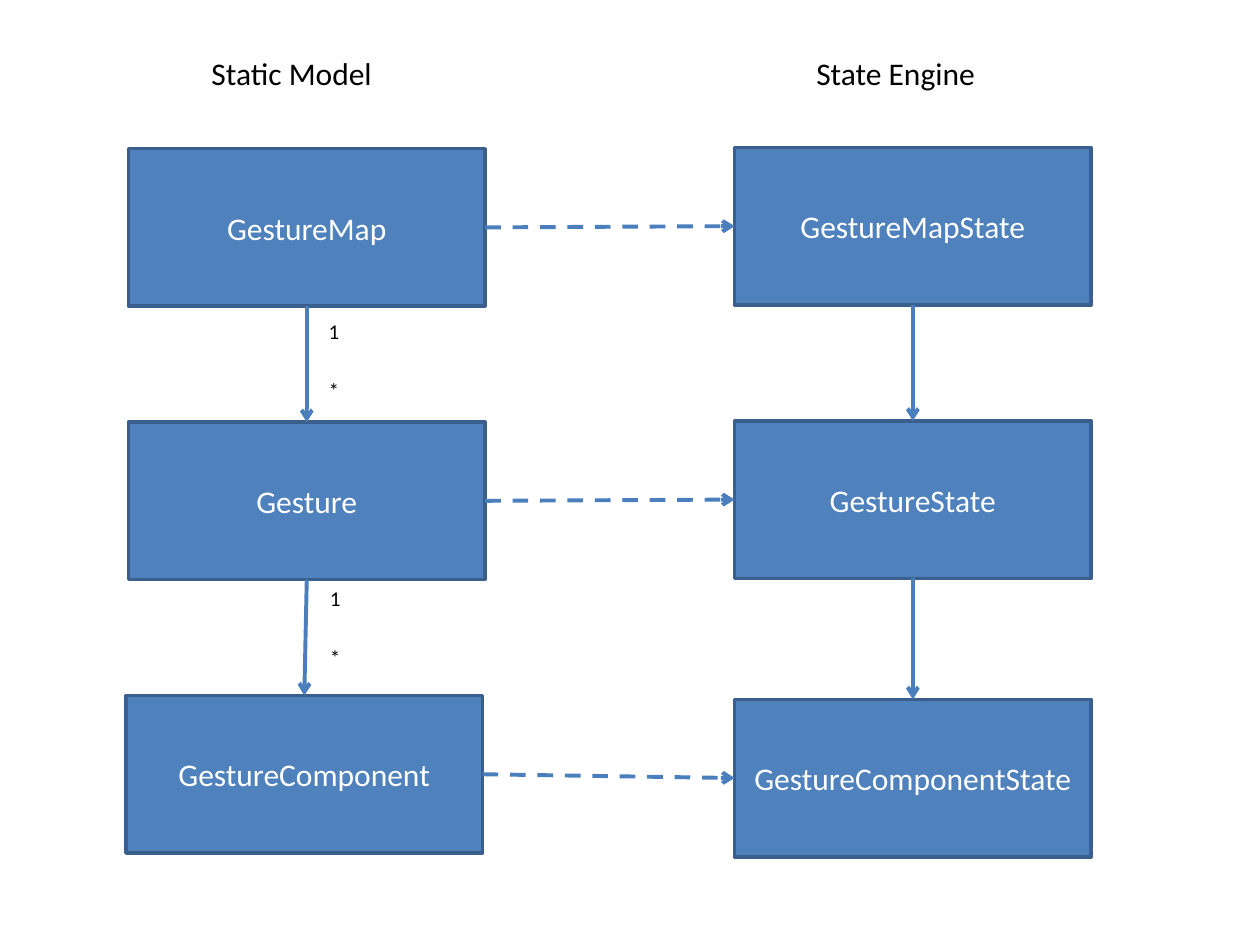
from lxml.etree import SubElement
from pptx import Presentation
from pptx.dml.color import RGBColor
from pptx.enum.dml import MSO_LINE
from pptx.enum.shapes import MSO_CONNECTOR, MSO_SHAPE
from pptx.enum.text import MSO_ANCHOR, MSO_AUTO_SIZE, PP_ALIGN
from pptx.oxml.ns import qn
from pptx.util import Inches, Pt

BLUE = RGBColor(0x4F, 0x81, 0xBD)
BORDER = RGBColor(0x3A, 0x5F, 0x8C)
ARROW = RGBColor(0x4B, 0x7E, 0xBC)
WHITE = RGBColor(0xFF, 0xFF, 0xFF)
BLACK = RGBColor(0, 0, 0)

BOX_W, BOX_H = 2.83, 1.25
TOP, LEFT, BOTTOM, RIGHT = range(4)

MODEL = [("GestureMap", 1.02, 1.18), ("Gesture", 1.02, 3.35),
         ("GestureComponent", 1, 5.52)]
STATES = [("GestureMapState", 5.83, 1.17), ("GestureState", 5.83, 3.34),
          ("GestureComponentState", 5.83, 5.55)]
HEADINGS = [("Static Model", 1.58), ("State Engine", 6.38)]
MULTIPLICITIES = [(2.51, 2.48), (2.52, 4.6)]
MULTIPLICITY_GAP = 0.47


def write(tf, text, size=18, color=BLACK, align=PP_ALIGN.LEFT):
    p = tf.paragraphs[0]
    p.alignment = align
    r = p.add_run()
    r.text = text
    r.font.name = "Calibri"
    r.font.size = Pt(size)
    r.font.color.rgb = color


def add_box(s, text, x, y):
    sp = s.shapes.add_shape(MSO_SHAPE.FLOWCHART_PROCESS, Inches(x), Inches(y),
                            Inches(BOX_W), Inches(BOX_H))
    sp.shadow.inherit = False
    sp.fill.solid()
    sp.fill.fore_color.rgb = BLUE
    sp.line.color.rgb = BORDER
    sp.line.width = Pt(2)
    sp.text_frame.vertical_anchor = MSO_ANCHOR.MIDDLE
    write(sp.text_frame, text, color=WHITE, align=PP_ALIGN.CENTER)
    return sp


def add_label(s, text, x, y, w, h, **fmt):
    sp = s.shapes.add_textbox(Inches(x), Inches(y), Inches(w), Inches(h))
    tf = sp.text_frame
    tf.word_wrap = True
    tf.auto_size = MSO_AUTO_SIZE.SHAPE_TO_FIT_TEXT
    write(tf, text, **fmt)


def add_arrow(s, source, start, target, end, dash=None):
    c = s.shapes.add_connector(MSO_CONNECTOR.STRAIGHT, 0, 0, 0, 0)
    c.begin_connect(source, start)
    c.end_connect(target, end)
    c.line.color.rgb = ARROW
    c.line.width = Pt(2.25)
    if dash:
        c.line.dash_style = dash
    SubElement(c.line._get_or_add_ln(), qn("a:tailEnd"), type="arrow")
    SubElement(c._element.spPr, qn("a:effectLst"))


def main():
    prs = Presentation()
    prs.slide_width, prs.slide_height = Inches(10), Inches(7.5)
    s = prs.slides.add_slide(prs.slide_layouts[6])

    columns = [[add_box(s, *box) for box in col] for col in (MODEL, STATES)]
    for text, x in HEADINGS:
        add_label(s, text, x, 0.38, 1.75, 0.4)
    for col in columns:
        for upper, lower in zip(col, col[1:]):
            add_arrow(s, upper, BOTTOM, lower, TOP)
    for model, state in zip(*columns):
        add_arrow(s, model, RIGHT, state, LEFT, dash=MSO_LINE.DASH)
    for x, y in MULTIPLICITIES:
        for i, text in enumerate("1*"):
            add_label(s, text, x, y + i * MULTIPLICITY_GAP, 0.31, 0.3, size=12)

    prs.save("out.pptx")


main()
